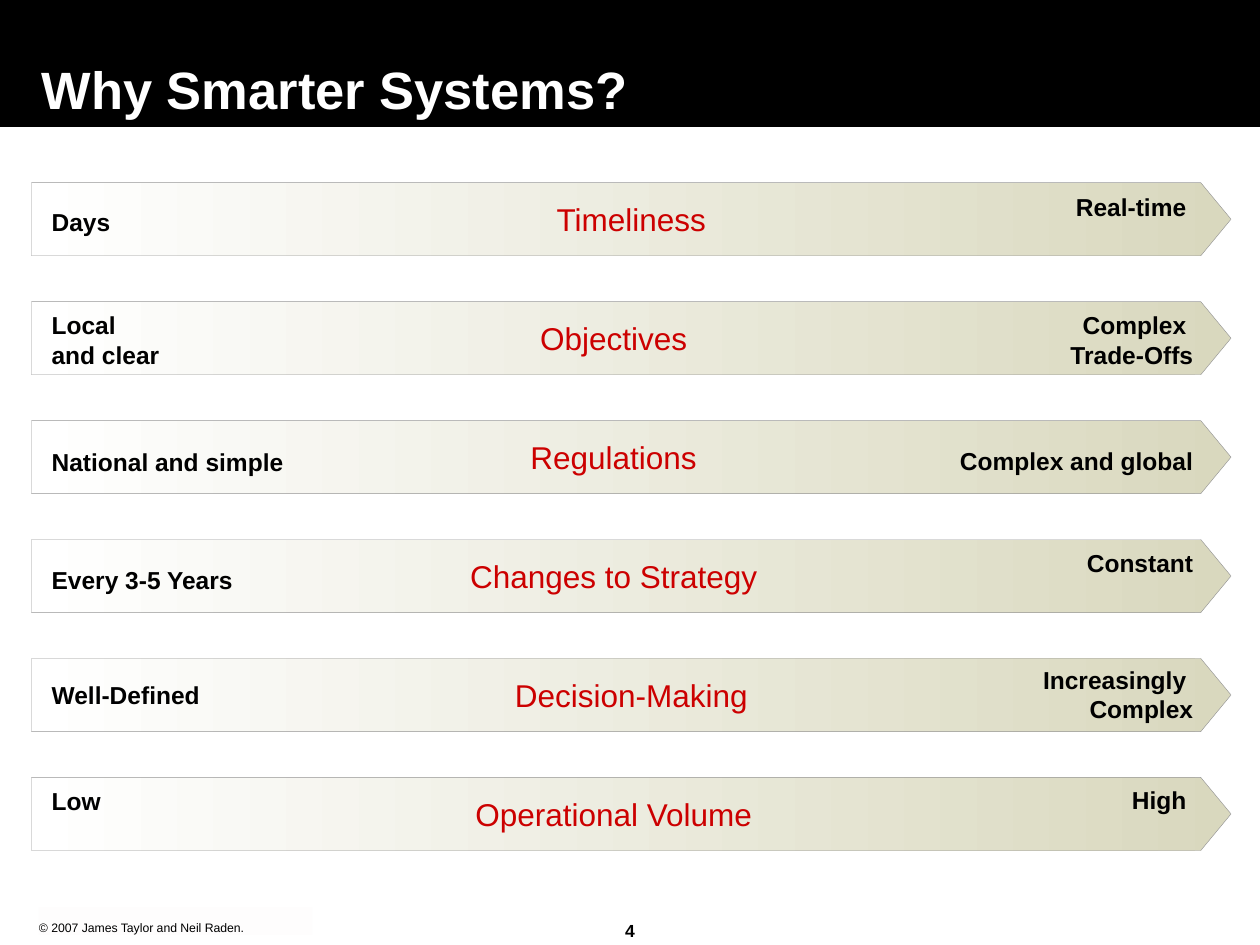
from lxml import etree
from pptx import Presentation
from pptx.dml.color import RGBColor
from pptx.enum.shapes import MSO_SHAPE
from pptx.enum.text import MSO_ANCHOR, PP_ALIGN
from pptx.oxml.ns import qn
from pptx.util import Inches, Pt

RECT = MSO_SHAPE.RECTANGLE
TOP, MIDDLE, BOTTOM = MSO_ANCHOR.TOP, MSO_ANCHOR.MIDDLE, MSO_ANCHOR.BOTTOM
LEFT, CENTER, RIGHT = PP_ALIGN.LEFT, PP_ALIGN.CENTER, PP_ALIGN.RIGHT

COLS, ROWS = 100, 75
FIRST, LAST = 14.5, 61.7
BAND = 5.8

BANDS = [
    ("Timeliness", 0, "Days", 1.9, "Real-time ", 0.7),
    ("Objectives", 2.8, "Local \nand clear", 0.7, "Complex \nTrade-Offs", 0.7),
    ("Regulations", 2.8, "National and simple", 2.1, "Complex and global", 2),
    ("Changes to Strategy", 2.8, "Every 3-5 Years", 2, "Constant", 0.7),
    ("Decision-Making", 0, "Well-Defined", 1.7, "Increasingly \nComplex", 0.5),
    ("Operational Volume", 2.8, "Low", 0.7, "High ", 0.6),
]


def color(code):
    return RGBColor.from_string(code)


class Deck:
    font = "Arial"
    black, white = "000000", "FFFFFF"
    red, sand, gray, cream = "CC0000", "D9D8BE", "969696", "F7F5EF"

    def __init__(self):
        self.file = Presentation()
        self.file.slide_width = Inches(10)
        self.file.slide_height = Inches(7.5)
        self.slide = self.file.slides.add_slide(self.file.slide_layouts[6])
        self.shapes = self.slide.shapes

    def x(self, cols):
        return round(self.file.slide_width * cols / COLS)

    def y(self, rows):
        return round(self.file.slide_height * rows / ROWS)

    def area(self, left, top, width, height):
        return self.x(left), self.y(top), self.x(width), self.y(height)

    def words(self, shape, text, size, tint, bold=False, align=LEFT,
              anchor=TOP, wrap=True, pad=0, lead=None):
        frame = shape.text_frame
        frame.word_wrap = wrap
        frame.vertical_anchor = anchor
        frame.margin_left = frame.margin_top = frame.margin_bottom = 0
        frame.margin_right = self.x(pad)
        para = frame.paragraphs[0]
        para.text = text
        para.alignment = align
        if lead:
            para.line_spacing = lead
        for run in para.runs:
            run.font.name = self.font
            run.font.size = Pt(size)
            run.font.bold = bold
            run.font.color.rgb = color(tint)

    def label(self, area, text, size, tint, **style):
        box = self.shapes.add_textbox(*self.area(*area))
        self.words(box, text, size, tint, **style)

    def block(self, area, tint, alpha=100):
        shape = self.shapes.add_shape(RECT, *self.area(*area))
        shape.shadow.inherit = False
        shape.fill.solid()
        shape.fill.fore_color.rgb = color(tint)
        if alpha < 100:
            shape.line.fill.background()
            fill = shape.element.spPr.find(qn("a:solidFill"))
            etree.SubElement(fill[0], qn("a:alpha"), val=str(alpha * 1000))
        else:
            shape.line.color.rgb = color(tint)
            shape.line.width = Pt(0.75)
        return shape

    def arrow(self, top, text, pad):
        left, neck, tip = 2.5, 95.3, 97.7
        points = [(neck, top), (tip, top + BAND / 2),
                  (neck, top + BAND), (left, top + BAND)]
        form = self.shapes.build_freeform(self.x(left), self.y(top))
        form.add_line_segments([(self.x(a), self.y(b)) for a, b in points])
        shape = form.convert_to_shape()
        shape.shadow.inherit = False
        shape.fill.gradient()
        shape.fill.gradient_angle = 180
        for stop, tint in zip(shape.fill.gradient_stops, (self.sand, self.white)):
            stop.color.rgb = color(tint)
        shape.line.color.rgb = color(self.gray)
        shape.line.width = Pt(0.25)
        self.words(shape, text, 18, self.red, align=CENTER, anchor=MIDDLE,
                   wrap=False, pad=pad)

    def band(self, top, topic, pad, start, drop, end, fall):
        self.shapes = self.slide.shapes.add_group_shape().shapes
        self.arrow(top, topic, pad)
        self.label((4.1, top + drop, 19.6, 2.3), start, 14, self.black, bold=True)
        self.label((67.2, top + fall, 27.5, 2.5), end, 14, self.black,
                   bold=True, align=RIGHT)
        self.shapes = self.slide.shapes


def main():
    deck = Deck()
    deck.block((0, 0, 100, 10), deck.black)
    deck.label((46.1, 73, 7.8, 2), "4", 10, deck.black, bold=True, align=CENTER)
    note = deck.block((3.1, 72, 21.7, 2.2), deck.cream, alpha=10)
    deck.words(note, "© 2007 James Taylor and Neil Raden.", 7, deck.black,
               anchor=BOTTOM)
    deck.label((3.3, 0, 92.5, 9.5), "Why Smarter Systems?", 30, deck.white,
               bold=True, anchor=BOTTOM, lead=0.8)
    step = (LAST - FIRST) / (len(BANDS) - 1)
    for row, band in enumerate(BANDS):
        deck.band(FIRST + row * step, *band)
    deck.file.save("out.pptx")


if __name__ == "__main__":
    main()
